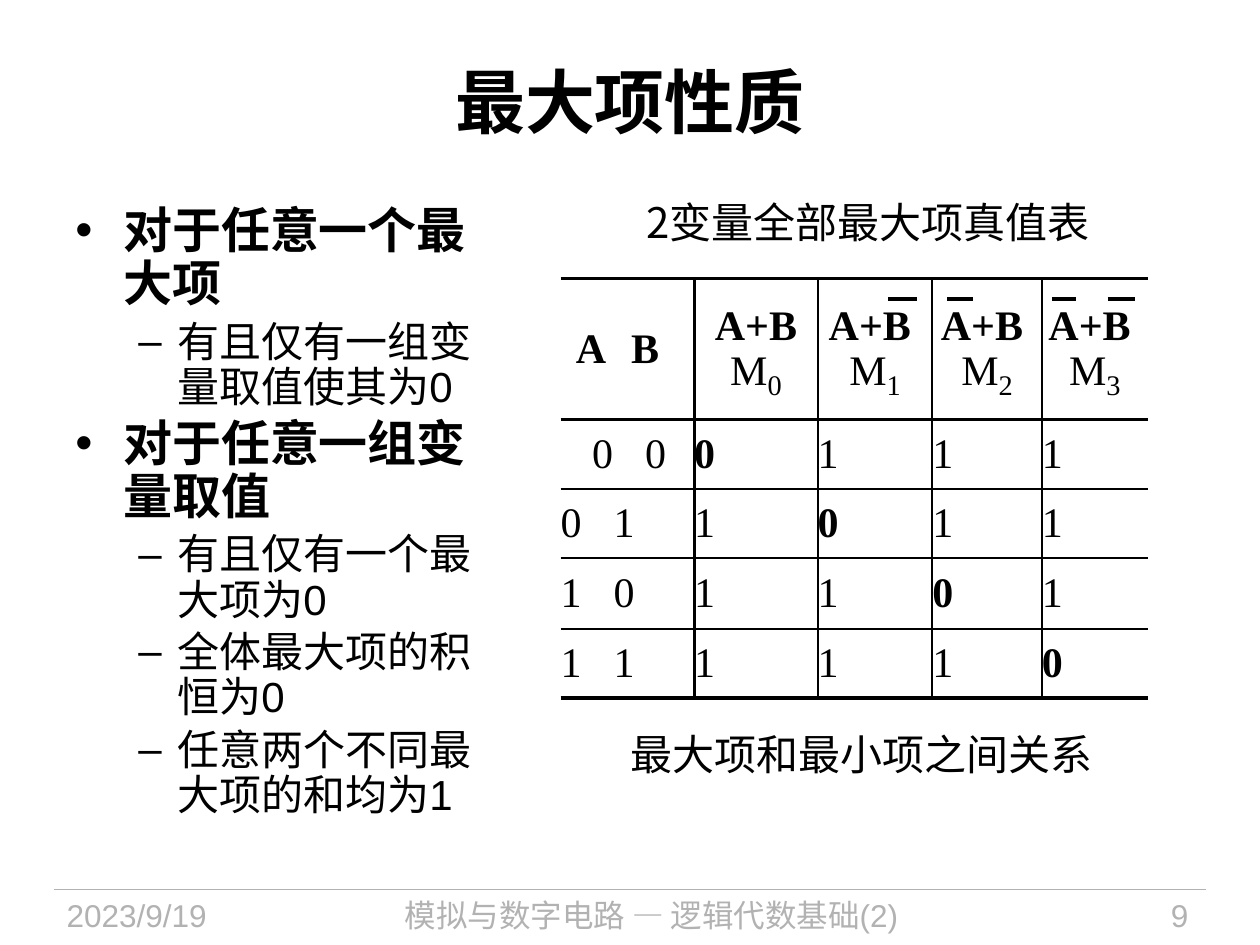
"""Build a slide on the properties of maxterms, with a two-variable truth table."""
from dataclasses import dataclass

from lxml.etree import SubElement as Sub
from pptx import Presentation
from pptx.dml.color import RGBColor
from pptx.enum.shapes import MSO_CONNECTOR as Conn
from pptx.enum.text import MSO_ANCHOR as Anchor, PP_ALIGN as Align
from pptx.oxml.ns import qn
from pptx.util import Pt

PX = 9144
BLACK = RGBColor(0, 0, 0)
GREY = RGBColor(0xB2, 0xB2, 0xB2)
SANS, HAN, SERIF = "Arial", "Noto Sans CJK SC", "Times New Roman"
LEFT, MID, RIGHT = Align.LEFT, Align.CENTER, Align.RIGHT


@dataclass
class Box:
    x: int
    y: int
    w: int
    h: int
    text: str
    size: int
    font: str = SANS
    color: RGBColor = BLACK
    align: Align = LEFT
    bold: bool = False
    wrap: bool = True
    anchor: Anchor = Anchor.TOP


@dataclass
class Rule:
    x: int
    y: int
    end: int
    color: RGBColor = BLACK
    width: float = 2.25


@dataclass
class Level:
    size: int
    bold: bool
    mark: str
    left: int
    hang: int
    after: int


BOXES = [
    Box(43, 706, 188, 44, "2023/9/19", 18, color=GREY),
    Box(249, 706, 536, 44, "模拟与数字电路 — 逻辑代数基础(2)", 18, color=GREY, align=MID),
    Box(820, 706, 133, 44, "9", 18, color=GREY, align=RIGHT),
    Box(50, 17, 900, 125, "最大项性质", 40, align=MID, bold=True, anchor=Anchor.MIDDLE),
    Box(499, 151, 387, 50, "2变量全部最大项真值表 ", 24, HAN, align=MID, wrap=False),
    Box(486, 573, 403, 50, "最大项和最小项之间关系 ", 24, HAN, align=MID, wrap=False),
]
RULES = [Rule(43, 706, 957, GREY, 0.75)] + [
    Rule(x, 237, end) for x, end in ((705, 728), (752, 772), (835, 854), (879, 901))
]
LEVELS = [Level(28, True, "•", 38, 38, 5), Level(24, False, "–", 81, 31, 4)]
POINTS = [
    (0, "对于任意一个最大项"),
    (1, "有且仅有一组变量取值使其为0"),
    (0, "对于任意一组变量取值"),
    (1, "有且仅有一个最大项为0"),
    (1, "全体最大项的积恒为0"),
    (1, "任意两个不同最大项的和均为1"),
]
COLS = [106, 98, 91, 87, 84]
ROWS = [112, 55, 55, 56, 55]
TERMS = ["A+B", "A+B ", "A+B ", "A+B "]
PAIRS = ["0\t0", "0\t1", "1\t0", "1\t1"]


def write(para, text: str, *, size: int, font: str = SANS, color: RGBColor = BLACK,
          bold: bool = False, align: Align = LEFT, base: int = 0,
          line: float = 1.0, after: int = 0) -> None:
    """Add one run to a paragraph and set the paragraph's layout."""
    para.alignment, para.line_spacing, para.space_after = align, line, Pt(after)
    run = para.add_run()
    run.text = text
    face = run.font
    face.size, face.bold, face.name = Pt(size), bold, font
    face.color.rgb = color
    props = face._element
    Sub(props, qn("a:ea"), typeface=HAN)
    if base:
        props.set("baseline", str(base * 1000))


def add_box(slide, box: Box) -> None:
    """Draw a text box with one line of text."""
    frame = slide.shapes.add_textbox(
        *(n * PX for n in (box.x, box.y, box.w, box.h))).text_frame
    frame.word_wrap, frame.vertical_anchor = box.wrap, box.anchor
    write(frame.paragraphs[0], box.text, size=box.size, font=box.font,
          color=box.color, align=box.align, bold=box.bold)


def add_rule(slide, rule: Rule) -> None:
    """Draw a level line."""
    link = slide.shapes.add_connector(
        Conn.STRAIGHT, *(n * PX for n in (rule.x, rule.y, rule.end, rule.y)))
    link.line.color.rgb, link.line.width = rule.color, Pt(rule.width)
    Sub(link._element.spPr, qn("a:effectLst"))


def add_list(slide) -> None:
    """Draw the bullet list in two levels."""
    frame = slide.shapes.add_textbox(*(n * PX for n in (50, 159, 355, 538))).text_frame
    frame.word_wrap = True
    for i, (depth, text) in enumerate(POINTS):
        para = frame.add_paragraph() if i else frame.paragraphs[0]
        level = LEVELS[depth]
        para.level = depth
        write(para, text, size=level.size, bold=level.bold, line=0.9, after=level.after)
        props = para._p.get_or_add_pPr()
        props.set("marL", str(level.left * PX))
        props.set("indent", str(-level.hang * PX))
        Sub(props, qn("a:buFont"), typeface=SANS)
        Sub(props, qn("a:buChar"), char=level.mark)


def add_edge(cell, side: str, width: float) -> None:
    """Set one cell border; a width of zero hides it."""
    edge = Sub(cell._tc.get_or_add_tcPr(), qn(f"a:ln{side}"), w=str(Pt(width)))
    if width:
        Sub(Sub(edge, qn("a:solidFill")), qn("a:srgbClr"), val=str(BLACK))
    else:
        Sub(edge, qn("a:noFill"))


def frame_cell(cell, row: int, col: int) -> None:
    """Set borders, fill and insets for a table cell."""
    def across(n: int) -> float:
        return 2.25 if n in (0, 1, len(ROWS)) else 1.5

    def down(n: int) -> float:
        return 0 if n in (0, len(COLS)) else 2.25 if n == 1 else 1.5

    for side, width in zip("LRTB", (down(col), down(col + 1), across(row), across(row + 1))):
        add_edge(cell, side, width)
    cell.fill.background()
    cell.vertical_anchor = Anchor.MIDDLE
    term = row == 0 and col > 0
    inset = {0: 12, 1: 25}.get(row, 0) if col == 0 else 0
    cell.margin_left, cell.margin_right = inset * PX, 0
    cell.margin_top, cell.margin_bottom = 16 * PX * term, 10 * PX * term


def fill_cell(cell, row: int, col: int) -> None:
    """Write a variable pair, a maxterm heading or a truth value."""
    para = cell.text_frame.paragraphs[0]
    if col == 0:
        text = PAIRS[row - 1] if row else "A\tB"
        write(para, text, size=24, font=SERIF, bold=row == 0)
        stops = Sub(para._p.get_or_add_pPr(), qn("a:tabLst"))
        Sub(stops, qn("a:tab"), pos=str((42 if row else 44) * PX), algn="l")
    elif row == 0:
        form = dict(font=SERIF, align=MID, line=0.8)
        write(para, TERMS[col - 1], size=24, bold=True, **form)
        name = cell.text_frame.add_paragraph()
        write(name, "M", size=24, **form)
        write(name, str(col - 1), size=28, base=-20, **form)
    else:
        zero = row == col
        write(para, "0" if zero else "1", size=24, font=SERIF, bold=zero)


def add_truth(slide) -> None:
    """Draw the truth table of all maxterms."""
    table = slide.shapes.add_table(
        len(ROWS), len(COLS), 445 * PX, 221 * PX, sum(COLS) * PX, sum(ROWS) * PX).table
    table.first_row = table.horz_banding = False
    for col, width in zip(table.columns, COLS):
        col.width = width * PX
    for r, high in enumerate(ROWS):
        table.rows[r].height = high * PX
        for c in range(len(COLS)):
            frame_cell(table.cell(r, c), r, c)
            fill_cell(table.cell(r, c), r, c)


def main() -> None:
    """Build and save the slide."""
    deck = Presentation()
    deck.slide_width, deck.slide_height = 1000 * PX, 750 * PX
    slide = deck.slides.add_slide(deck.slide_layouts[6])
    for box in BOXES:
        add_box(slide, box)
    add_list(slide)
    add_truth(slide)
    for rule in RULES:
        add_rule(slide, rule)
    deck.save("out.pptx")


if __name__ == "__main__":
    main()
